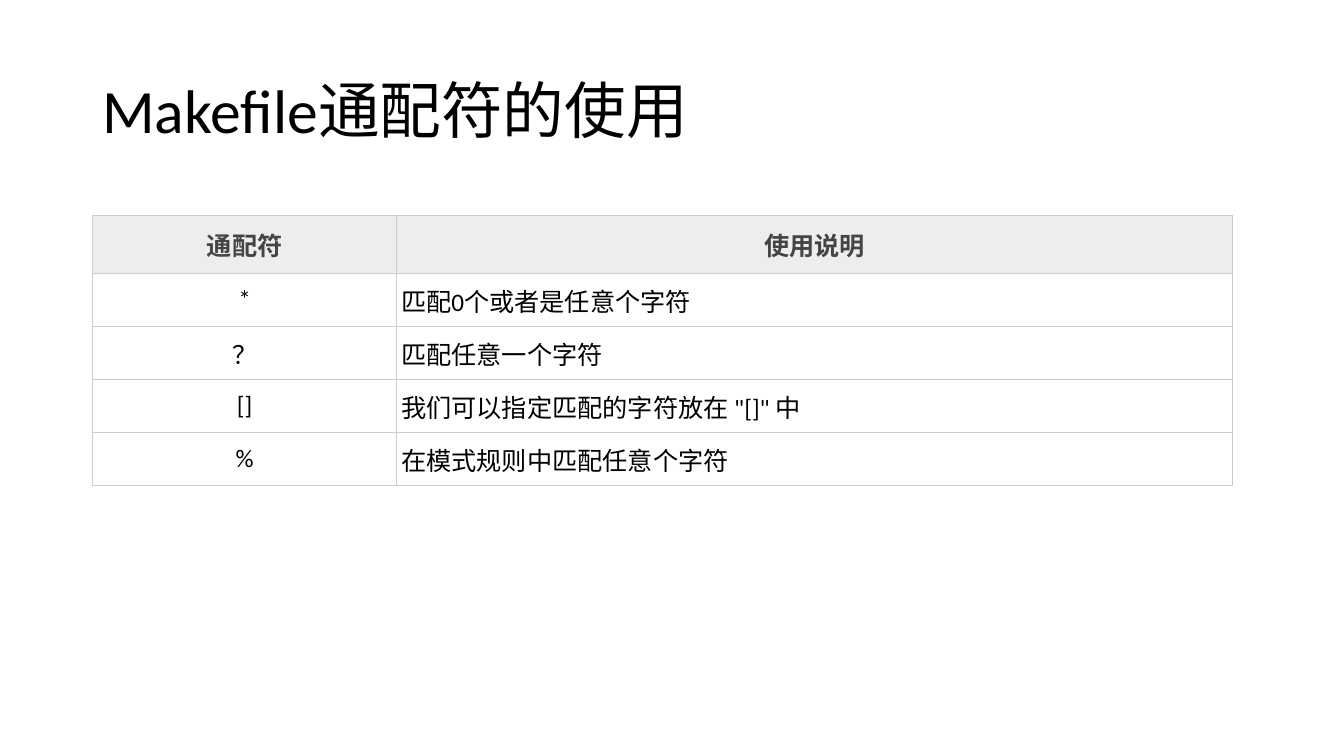
import pptx
import pptx.dml.color
import pptx.enum.text
import pptx.oxml
import pptx.oxml.ns
import pptx.util
from dataclasses import dataclass

Pt = pptx.util.Pt
Align = pptx.enum.text.PP_ALIGN
Anchor = pptx.enum.text.MSO_ANCHOR


@dataclass(frozen=True)
class Theme:
    """Colours, font and type sizes of the slide."""
    font: str = "Calibri"
    title_size: float = 44
    table_size: float = 18
    text: str = "000000"
    header_text: str = "444444"
    header_fill: str = "EDEDED"
    border: str = "CCCCCC"
    border_width: float = 0.6


THEME = Theme()
TITLE = "Makefile通配符的使用"
WILDCARD_ROWS = [
    ("通配符", "使用说明"),
    ("*", "匹配0个或者是任意个字符"),
    ("？", "匹配任意一个字符"),
    ("[]", "我们可以指定匹配的字符放在 \"[]\" 中"),
    ("%", "在模式规则中匹配任意个字符"),
]


def add_run(paragraph, text, size, color, bold=False):
    """Add one styled run to a paragraph."""
    run = paragraph.add_run()
    run.text = text
    run.font.name = THEME.font
    run.font.size = Pt(size)
    run.font.bold = bold
    run.font.color.rgb = pptx.dml.color.RGBColor.from_string(color)


def add_title(slide, text, left, top, width, height):
    """Place the title, vertically centred in its box."""
    shape = slide.shapes.add_textbox(Pt(left), Pt(top), Pt(width), Pt(height))
    frame = shape.text_frame
    frame.word_wrap = True
    frame.vertical_anchor = Anchor.MIDDLE
    paragraph = frame.paragraphs[0]
    paragraph.line_spacing = 0.9
    add_run(paragraph, text, THEME.title_size, THEME.text)


def add_borders(cell):
    """Draw the same thin line on all four sides of a cell."""
    properties = cell._tc.get_or_add_tcPr()
    for side in ("lnL", "lnR", "lnT", "lnB"):
        properties.append(pptx.oxml.parse_xml(
            f'<a:{side} {pptx.oxml.ns.nsdecls("a")} w="{Pt(THEME.border_width)}">'
            f'<a:solidFill><a:srgbClr val="{THEME.border}"/></a:solidFill>'
            f'</a:{side}>'))


def fill_cell(cell, text, is_header, is_centred):
    """Style one table cell and write its text."""
    cell.vertical_anchor = Anchor.MIDDLE
    cell.margin_left = cell.margin_right = Pt(3)
    cell.margin_top = cell.margin_bottom = Pt(4.5 if is_header else 3)
    add_borders(cell)
    if is_header:
        cell.fill.solid()
        cell.fill.fore_color.rgb = pptx.dml.color.RGBColor.from_string(THEME.header_fill)
    else:
        cell.fill.background()
    paragraph = cell.text_frame.paragraphs[0]
    paragraph.alignment = Align.CENTER if is_centred else Align.LEFT
    color = THEME.header_text if is_header else THEME.text
    add_run(paragraph, text, THEME.table_size, color, is_header)


def add_wildcard_table(slide, rows, left, top, width, height):
    """Place the table: a slightly taller header above equal body rows."""
    table = slide.shapes.add_table(
        len(rows), 2, Pt(left), Pt(top), Pt(width), Pt(height)).table
    table.first_row = table.horz_banding = False
    symbol_width = 217.5
    table.columns[0].width = Pt(symbol_width)
    table.columns[1].width = Pt(width - symbol_width)
    header_height = 41.4
    body_height = (height - header_height) / (len(rows) - 1)
    for row_index, values in enumerate(rows):
        is_header = row_index == 0
        table.rows[row_index].height = Pt(header_height if is_header else body_height)
        for column_index, text in enumerate(values):
            fill_cell(table.cell(row_index, column_index), text,
                      is_header, is_header or column_index == 0)


def main():
    """Build the slide and save it."""
    presentation = pptx.Presentation()
    presentation.slide_width = Pt(960)
    presentation.slide_height = Pt(540)
    slide = presentation.slides.add_slide(presentation.slide_layouts[6])
    add_title(slide, TITLE, 66, 28.8, 828, 104.4)
    add_wildcard_table(slide, WILDCARD_ROWS, 66, 154, 814.5, 193)
    presentation.save("out.pptx")


main()
